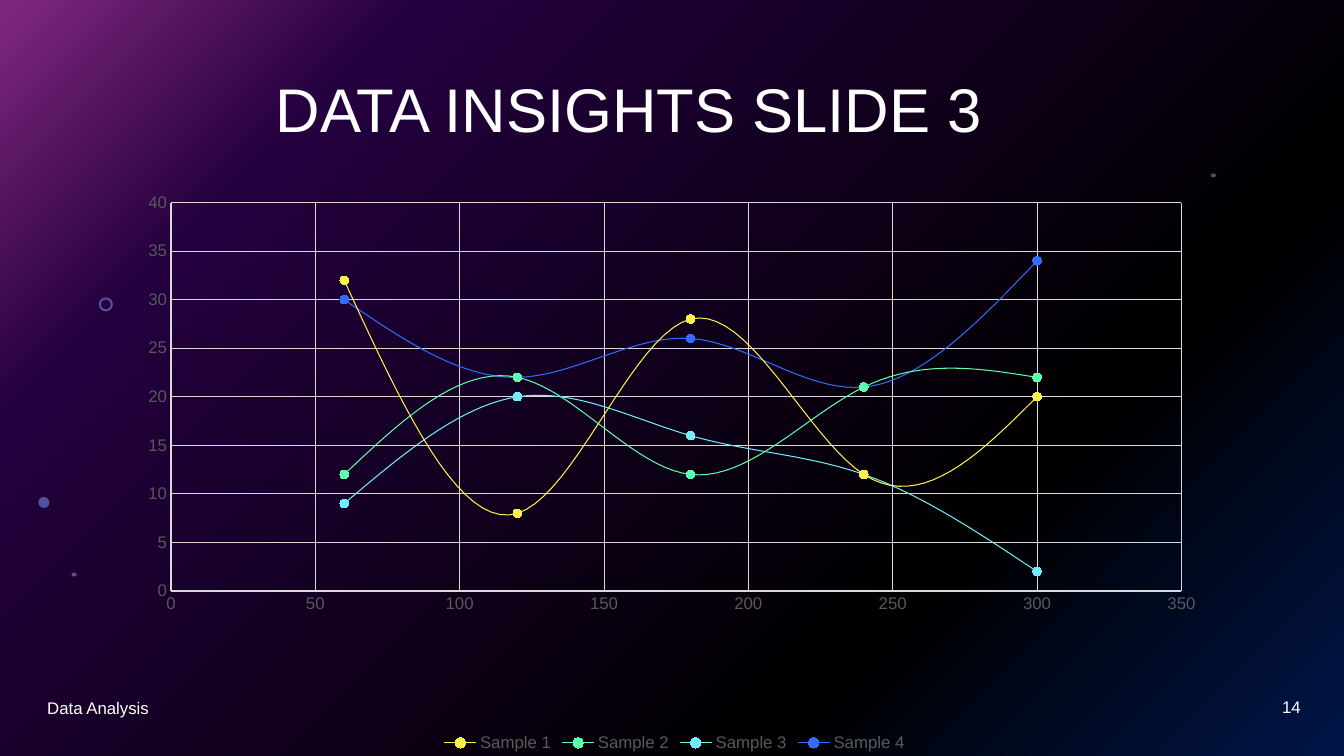
import pptx
import pptx.chart.data
import pptx.dml.color
import pptx.enum.chart
import pptx.enum.shapes
import pptx.enum.text
import pptx.oxml
import pptx.oxml.ns
import pptx.util
from pptx.util import Inches

FONT = "Arial"
COLORS = {
    "white": "FFFFFF", "black": "000000", "label": "595959", "grid": "D9D9D9",
    "dot": "83A7FD",
}
BACKGROUND_STOPS = [(0, "022D94"), (28, "000000"), (80, "4A027F"), (99, "FC4EFB")]
TIMES = [60, 120, 180, 240, 300]
# name, values, line colour, marker colour
SAMPLES = [
    ("Sample 1", [32, 8, 28, 12, 20], "FAF24C", "FFF747"),
    ("Sample 2", [12, 22, 12, 21, 22], "5EFCAC", "5BFFAC"),
    ("Sample 3", [9, 20, 16, 12, 2], "73EBF9", "6DF0FF"),
    ("Sample 4", [30, 22, 26, 21, 34], "316CFC", "2E6BFF"),
]
PLOT_LAYOUT = {"x": 0.065, "y": 0.03, "w": 0.873, "h": 0.681}

qn = pptx.oxml.ns.qn
SHAPE = pptx.enum.shapes.MSO_SHAPE
ALIGN = pptx.enum.text.PP_ALIGN


def rgb(color):
    return pptx.dml.color.RGBColor.from_string(color)


def format_font(font, size, color):
    font.name = FONT
    font.size = pptx.util.Pt(size)
    font.color.rgb = rgb(color)


def write(frame, text, size=12, color=COLORS["white"], align=ALIGN.LEFT, spacing=1.0):
    frame.word_wrap = True
    frame.auto_size = pptx.enum.text.MSO_AUTO_SIZE.NONE
    frame.vertical_anchor = pptx.enum.text.MSO_ANCHOR.MIDDLE
    para = frame.paragraphs[0]
    para.alignment = align
    para.line_spacing = spacing
    span = para.add_run()
    span.text = text
    format_font(span.font, size, color)


class SlideBuilder:
    def __init__(self, deck):
        self.page = deck.slides.add_slide(deck.slide_layouts[5])

    def background(self, stops):
        self.page.background.fill.gradient()
        gradient = next(self.page.element.iter(qn("a:gradFill")))
        stop_xml = "".join(
            f'<a:gs pos="{place * 1000}"><a:srgbClr val="{color}"/></a:gs>'
            for place, color in stops)
        radial = pptx.oxml.parse_xml(
            f'<a:gradFill {pptx.oxml.ns.nsdecls("a")} rotWithShape="1">'
            f'<a:gsLst>{stop_xml}</a:gsLst><a:path path="circle">'
            '<a:fillToRect l="100000" t="100000"/></a:path></a:gradFill>')
        gradient.getparent().replace(gradient, radial)

    def shape(self, kind, left, top, width, height, color, opacity):
        shape = self.page.shapes.add_shape(
            kind, Inches(left), Inches(top), Inches(width), Inches(height))
        shape.shadow.inherit = False
        shape.line.fill.background()
        shape.fill.solid()
        shape.fill.fore_color.rgb = rgb(color)
        tint = next(shape.element.spPr.iter(qn("a:srgbClr")))
        alpha = tint.makeelement(qn("a:alpha"), {"val": str(opacity * 1000)})
        tint.append(alpha)
        return shape

    def text(self, left, top, width, height, text, **style):
        box = self.page.shapes.add_textbox(
            Inches(left), Inches(top), Inches(width), Inches(height))
        write(box.text_frame, text, **style)

    def title(self, left, top, width, height, text, **style):
        title = self.page.shapes.title
        title.left, title.top = Inches(left), Inches(top)
        title.width, title.height = Inches(width), Inches(height)
        write(title.text_frame, text, **style)
        # Bring the title in front of the dark overlay
        self.page.shapes.element.append(title.element)

    def axis(self, axis, maximum, step):
        axis.minimum_scale, axis.maximum_scale, axis.major_unit = 0, maximum, step
        axis.major_tick_mark = pptx.enum.chart.XL_TICK_MARK.NONE
        axis.minor_tick_mark = pptx.enum.chart.XL_TICK_MARK.NONE
        axis.format.line.fill.background()
        axis.has_major_gridlines = True
        grid = axis.major_gridlines.format.line
        grid.color.rgb = rgb(COLORS["grid"])
        grid.width = pptx.util.Pt(0.75)
        format_font(axis.tick_labels.font, 12, COLORS["label"])

    def scatter(self, left, top, width, height, times, samples):
        data = pptx.chart.data.XyChartData()
        for name, values, _, _ in samples:
            series = data.add_series(name)
            for time, value in zip(times, values):
                series.add_data_point(time, value)
        chart = self.page.shapes.add_chart(
            pptx.enum.chart.XL_CHART_TYPE.XY_SCATTER_SMOOTH, Inches(left),
            Inches(top), Inches(width), Inches(height), data).chart
        format_font(chart.font, 10, COLORS["black"])
        chart.has_title = False
        chart.has_legend = True
        chart.legend.position = pptx.enum.chart.XL_LEGEND_POSITION.BOTTOM
        chart.legend.include_in_layout = False
        format_font(chart.legend.font, 12, COLORS["label"])
        self.axis(chart.category_axis, 350, 50)
        self.axis(chart.value_axis, 40, 5)

        # Series lines and markers
        plot = chart.plots[0]
        plot.vary_by_categories = False
        for series, (_, _, line_color, marker_color) in zip(plot.series, samples):
            series.format.line.color.rgb = rgb(line_color)
            series.format.line.width = pptx.util.Pt(0.75)
            marker = series.marker
            marker.style = pptx.enum.chart.XL_MARKER_STYLE.CIRCLE
            marker.size = 6
            marker.format.fill.solid()
            marker.format.fill.fore_color.rgb = rgb(marker_color)
            marker.format.line.color.rgb = rgb(marker_color)
        for smooth in chart.element.iter(qn("c:smooth")):
            smooth.set("val", "1")

        # Fixed inner plot area
        area = next(chart.element.iter(qn("c:plotArea")))
        for layout in area.findall(qn("c:layout")):
            area.remove(layout)
        sizes = "".join(f'<c:{key} val="{value}"/>' for key, value in PLOT_LAYOUT.items())
        area.insert(0, pptx.oxml.parse_xml(
            f'<c:layout {pptx.oxml.ns.nsdecls("c")}><c:manualLayout>'
            '<c:layoutTarget val="inner"/><c:xMode val="edge"/><c:yMode val="edge"/>'
            f'{sizes}</c:manualLayout></c:layout>'))


def main():
    deck = pptx.Presentation()
    deck.slide_width, deck.slide_height = Inches(13.33), Inches(7.5)
    slide = SlideBuilder(deck)

    # Backdrop and decorative dots
    slide.background(BACKGROUND_STOPS)
    slide.shape(SHAPE.RECTANGLE, 0, 0, 13.33, 7.5, COLORS["black"], 50)
    ring = slide.shape(SHAPE.DONUT, 0.98, 2.95, 0.14, 0.14, COLORS["dot"], 49)
    ring.adjustments[0] = 0.15
    for left, top, width, height in [
            (0.38, 4.93, 0.11, 0.11), (0.71, 5.68, 0.05, 0.04), (12.01, 1.72, 0.05, 0.04)]:
        slide.shape(SHAPE.OVAL, left, top, width, height, COLORS["dot"], 49)

    # Chart, footer and title
    slide.scatter(0.95, 1.84, 11.48, 5.66, TIMES, SAMPLES)
    slide.text(0.37, 6.82, 4.5, 0.4, "Data Analysis")
    slide.text(10, 6.81, 3, 0.4, "14", align=ALIGN.RIGHT)
    slide.title(0.49, 0.39, 11.5, 1.45, "DATA INSIGHTS SLIDE 3",
                size=44, align=ALIGN.CENTER, spacing=0.9)
    deck.save("out.pptx")


if __name__ == "__main__":
    main()
